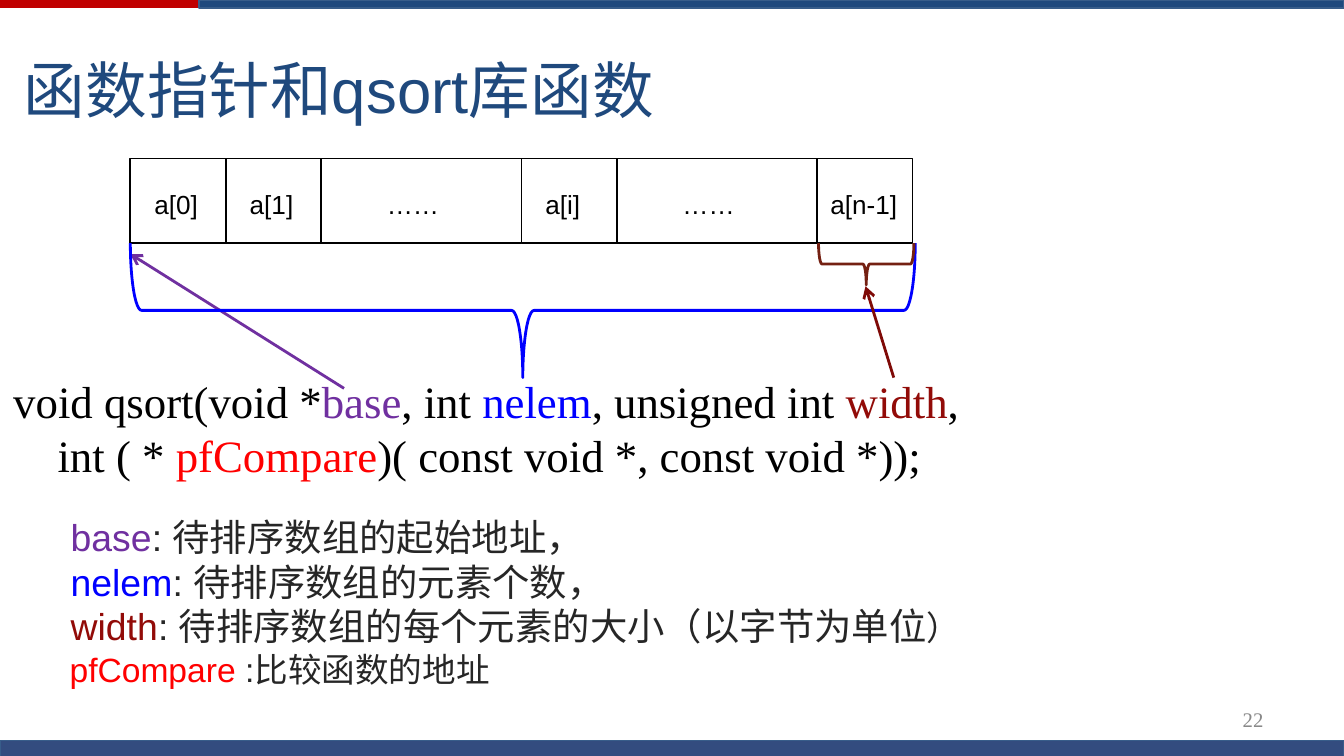
from lxml.etree import SubElement
from pptx import Presentation
from pptx.dml.color import RGBColor
from pptx.enum.shapes import MSO_CONNECTOR, MSO_SHAPE
from pptx.enum.text import MSO_ANCHOR, MSO_AUTO_SIZE, PP_ALIGN
from pptx.oxml.ns import qn
from pptx.util import Inches, Pt

WHITE = RGBColor(0xFF, 0xFF, 0xFF)
BLACK = RGBColor(0x00, 0x00, 0x00)
CHARCOAL = RGBColor(0x26, 0x26, 0x26)
GRAY = RGBColor(0x89, 0x89, 0x89)
NAVY = RGBColor(0x1F, 0x49, 0x7D)
DEEP_NAVY = RGBColor(0x00, 0x20, 0x60)
EDGE_BLUE = RGBColor(0x38, 0x5D, 0x8A)
BAR_RED = RGBColor(0xC0, 0x00, 0x00)
PURPLE = RGBColor(0x70, 0x30, 0xA0)
BLUE = RGBColor(0x00, 0x00, 0xFF)
RED = RGBColor(0xFF, 0x00, 0x00)
DARK_RED = RGBColor(0x92, 0x0B, 0x08)
ARROW_RED = RGBColor(0x7F, 0x0A, 0x07)
BROWN = RGBColor(0x74, 0x20, 0x12)

SANS = "Arial"
SERIF = "Times New Roman"


class Page:
    """The current slide and the style of its elements."""

    stroke = Pt(1.5)

    def __init__(self, deck):
        self.slide = deck.slides.add_slide(deck.slide_layouts[6])
        self.shapes = self.slide.shapes

    def rectangle(self, left, top, width, height, fill, line=None, weight=0, opacity=100):
        box = self.shapes.add_shape(
            MSO_SHAPE.RECTANGLE, Inches(left), Inches(top), Inches(width), Inches(height))
        box.shadow.inherit = False
        box.fill.solid()
        box.fill.fore_color.rgb = fill
        if opacity < 100:
            color = box.fill._xPr.find(qn("a:solidFill"))[0]
            SubElement(color, qn("a:alpha")).set("val", str(opacity * 1000))
        if line is None:
            box.line.fill.background()
        else:
            box.line.color.rgb = line
            box.line.width = Pt(weight)

    def text(self, left, top, width, height, anchor=MSO_ANCHOR.TOP, grow=False):
        box = self.shapes.add_textbox(Inches(left), Inches(top), Inches(width), Inches(height))
        frame = box.text_frame
        frame.word_wrap = True
        frame.vertical_anchor = anchor
        if grow:
            frame.auto_size = MSO_AUTO_SIZE.SHAPE_TO_FIT_TEXT
        return frame

    def paragraph(self, frame, runs, size, font, spacing=1.0, before=0,
                  align=PP_ALIGN.LEFT, margin=0, indent=0):
        """Fill the first empty paragraph or add one; runs are (text, color[, size])."""
        para = frame.paragraphs[-1]
        if para.runs:
            para = frame.add_paragraph()
        para.alignment = align
        para.line_spacing = spacing
        para.space_before = Pt(before)
        properties = para._p.get_or_add_pPr()
        properties.set("marL", str(Inches(margin)))
        properties.set("indent", str(Inches(indent)))
        for words, color, *own_size in runs:
            span = para.add_run()
            span.text = words
            span.font.name = font
            span.font.size = Pt(own_size[0] if own_size else size)
            span.font.color.rgb = color

    def arrow(self, start, end, color):
        line = self.shapes.add_connector(
            MSO_CONNECTOR.STRAIGHT, *(Inches(value) for value in (*start, *end)))
        line.line.color.rgb = color
        line.line.width = self.stroke
        SubElement(line.line._get_or_add_ln(), qn("a:tailEnd")).set("type", "arrow")
        SubElement(line._element.spPr, qn("a:effectLst"))

    def brace_below(self, left, top, span, depth, color):
        """A right brace turned a quarter, so its point faces down."""
        brace = self.shapes.add_shape(
            MSO_SHAPE.RIGHT_BRACE, Inches(left + (span - depth) / 2),
            Inches(top + (depth - span) / 2), Inches(depth), Inches(span))
        brace.rotation = 90
        brace.shadow.inherit = False
        brace.fill.background()
        brace.line.color.rgb = color
        brace.line.width = self.stroke


def main():
    deck = Presentation()
    deck.slide_width = Inches(10)
    deck.slide_height = deck.slide_width * 9 // 16
    page = Page(deck)

    # Top and bottom bars
    page.rectangle(0, 0, 10, 0.06, BAR_RED)
    page.rectangle(1.48, 0, 8.52, 0.06, NAVY, EDGE_BLUE)
    page.rectangle(0, 5.51, 10, 0.12, DEEP_NAVY, EDGE_BLUE, opacity=80)

    # Title
    title = page.text(0.08, 0.06, 9.92, 1.21, MSO_ANCHOR.MIDDLE)
    page.paragraph(title, [("函数指针和qsort库函数", NAVY)], 33, SANS)

    # Function prototype
    prototype = page.text(0, 2.81, 8.39, 0.94)
    page.paragraph(prototype, [
        ("void qsort(void *", BLACK), ("base", PURPLE), (", int ", BLACK),
        ("nelem", BLUE), (", unsigned int ", BLACK), ("width", DARK_RED), (",", BLACK),
    ], 24, SERIF, 0.8, 6, margin=0.38, indent=-0.38)
    page.paragraph(prototype, [
        ("int ( * ", BLACK), ("pfCompare", RED),
        (")( const void *, const void *));", BLACK),
    ], 24, SERIF, 0.8, 6, margin=0.33)

    # Page number
    number = page.text(7.17, 5.21, 2.33, 0.3, MSO_ANCHOR.MIDDLE)
    page.paragraph(number, [("22", GRAY)], 11.1, SERIF, 0.9, align=PP_ALIGN.RIGHT)

    # Array cells: label, cell width, label width
    cells = [("a[0]", 0.71, 0.63), ("a[1]", 0.71, 0.63), ("……", 1.49, 0.63),
             ("a[i]", 0.71, 0.63), ("……", 1.49, 0.63), ("a[n-1]", 0.71, 0.71)]
    array_left, array_top, array_height = 0.97, 1.18, 0.63
    array_bottom = array_top + array_height
    left = array_left
    for label, width, label_width in cells:
        page.rectangle(left, array_top, width, array_height, WHITE, BLACK, 1)
        inset = min(width - label_width, 0.39)
        caption = page.text(left + inset, 1.35, label_width, 0.34, grow=True)
        page.paragraph(caption, [(label, BLACK)], 14, SANS)
        left += width

    # Braces and arrows tying the parameters to the array
    page.arrow((2.56, 2.89), (array_left, 1.89), PURPLE)
    page.brace_below(array_left, array_bottom, 5.84, 1, BLUE)
    page.brace_below(6.09, array_bottom, 0.71, 0.31, BROWN)
    page.arrow((6.65, 2.81), (6.44, 2.13), ARROW_RED)

    # Parameter notes: space before, runs
    notes = [
        (5, [(" base", PURPLE), (": 待排序数组的起始地址，", CHARCOAL)]),
        (5, [(" nelem", BLUE), (": 待排序数组的元素个数，", CHARCOAL)]),
        (4.5, [(" width", DARK_RED), (": 待排序数组的每个元素的大小（以字节为单位", CHARCOAL),
               ("）", CHARCOAL, 18)]),
        (4.5, [(" pfCompare ", RED, 18), (":比较函数的地址", CHARCOAL, 18)]),
    ]
    note_box = page.text(0.35, 3.84, 7.79, 1.34, grow=True)
    for before, runs in notes:
        page.paragraph(note_box, runs, 20, SANS, 0.8, before, margin=0.38, indent=-0.38)

    deck.save("out.pptx")


if __name__ == "__main__":
    main()
